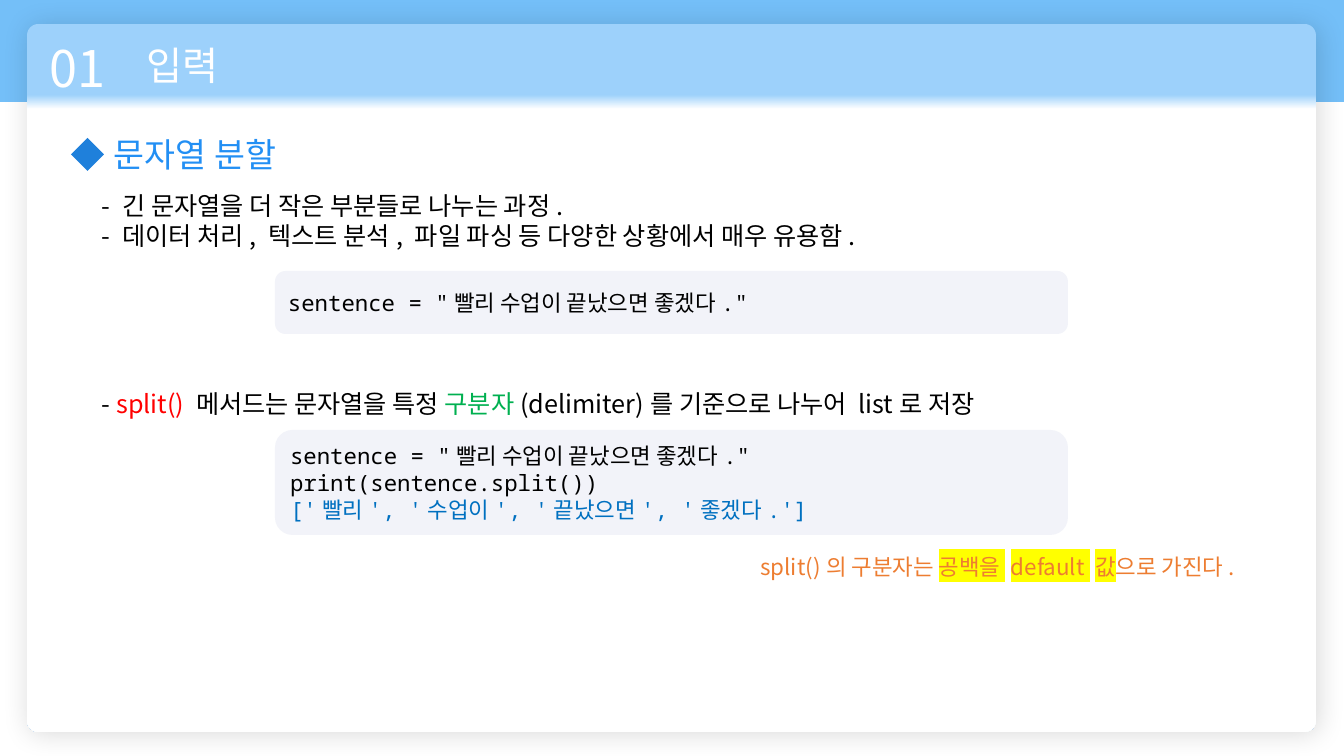
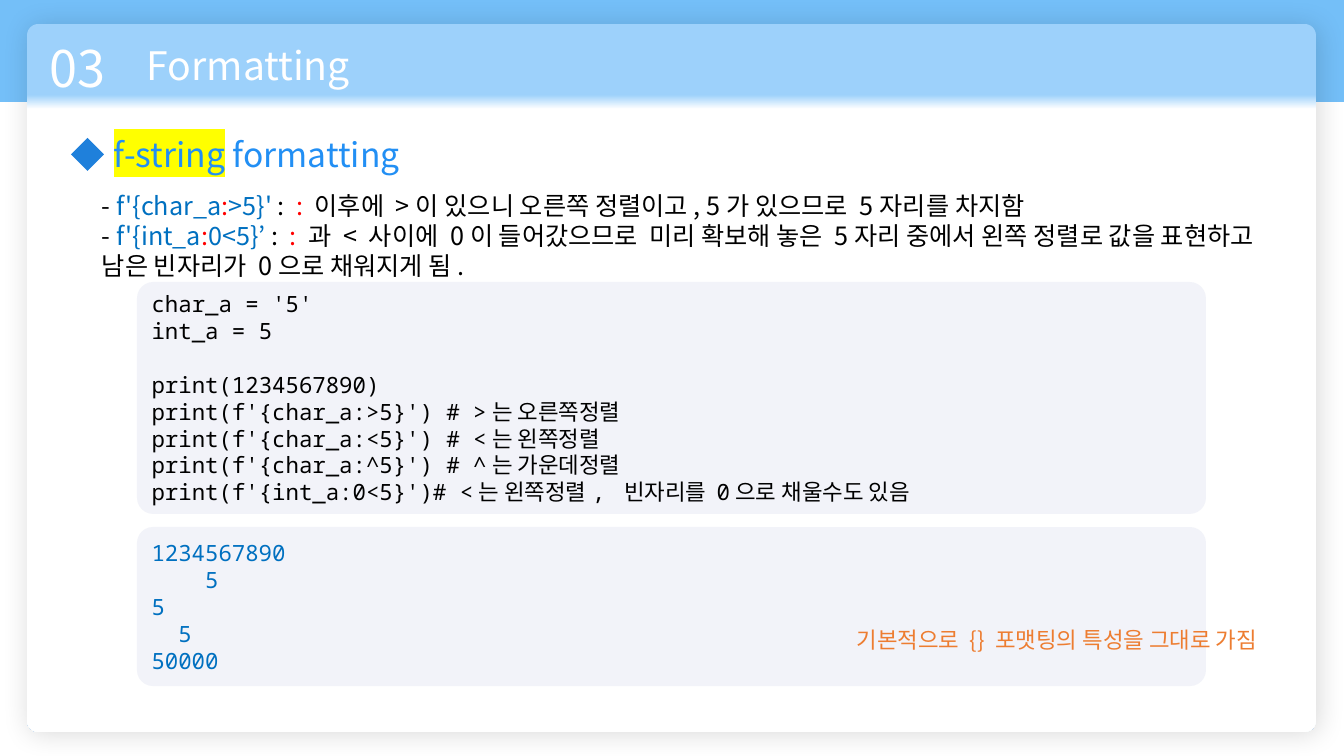
from lxml import etree
from pptx import Presentation
from pptx.dml.color import RGBColor
from pptx.enum.shapes import MSO_SHAPE
from pptx.enum.text import MSO_ANCHOR, MSO_AUTO_SIZE, PP_ALIGN
from pptx.oxml import parse_xml
from pptx.oxml.ns import nsdecls, qn
from pptx.util import Emu, Pt

PX = 914400 / 100.8
SANS, MONO = "Noto Sans CJK KR", "Noto Sans Mono"
WHITE, BLACK, BAND, CARD_TOP, CODE_FILL = "FFFFFF", "000000", "74BFF8", "9DD1FB", "F2F3F9"
HEADING, DIAMOND, NOTE = "228FF4", "1F80DB", "ED7D31"
RED, GREEN, BLUE, YELLOW = "FF0000", "00B050", "0070C0", "FFFF00"
CODE_GAP = 19  # height of an empty code line, in points

rgb = RGBColor.from_string


def add(s, at, lines=(), kind=None, fill=None, adj=None, font=SANS, size=18,
        color=BLACK, align=PP_ALIGN.LEFT, gap_before=None):
    """Add a shape of the given kind, or a text box if there is none.

    A line is a string or a list of runs; a run is a string or a tuple of
    text, colour and optional highlight. gap_before is the index of a line
    that follows an empty code line.
    """
    box = [Emu(round(v * PX)) for v in at]
    if kind is None:
        sp = s.shapes.add_textbox(*box)
        sp.text_frame.auto_size = MSO_AUTO_SIZE.SHAPE_TO_FIT_TEXT
    else:
        sp = s.shapes.add_shape(kind, *box)
        sp.shadow.inherit = False
        sp.line.fill.background()
        sp.text_frame.vertical_anchor = MSO_ANCHOR.MIDDLE
        if fill:
            sp.fill.solid()
            sp.fill.fore_color.rgb = rgb(fill)
        if adj is not None:
            sp.adjustments[0] = adj
    tf = sp.text_frame
    tf.word_wrap = True
    for i, line in enumerate(lines):
        p = tf.paragraphs[0] if i == 0 else tf.add_paragraph()
        p.alignment = align
        if i == gap_before:
            p.space_before = Pt(CODE_GAP)
        for run in [line] if isinstance(line, str) else line:
            text, run_color, mark = ((run,) if isinstance(run, str) else run) + (color, None)[
                0 if isinstance(run, str) else len(run) - 1:] if not (
                isinstance(run, tuple) and len(run) == 3) else run
            r = p.add_run()
            r.text = text
            r.font.size = Pt(size)
            r.font.name = font
            r.font.color.rgb = rgb(run_color)
            rPr = r.font._element
            latin = rPr.find(qn("a:latin"))
            ea = etree.Element(qn("a:ea"), typeface=SANS)
            latin.addnext(ea)
            if mark:
                latin.addprevious(parse_xml(
                    f'<a:highlight {nsdecls("a")}><a:srgbClr val="{mark}"/></a:highlight>'))
    return sp


slides = [
    dict(
        number="01", title="입력", heading="문자열 분할",
        texts=[
            ((92, 185, 1055, 72), [
                "- 긴 문자열을 더 작은 부분들로 나누는 과정.",
                "- 데이터 처리, 텍스트 분석, 파일 파싱 등 다양한 상황에서 매우 유용함."]),
            ((92, 383, 1055, 40), [
                ["- ", ("split() ", RED), "메서드는 문자열을 특정 ", ("구분자", GREEN),
                 "(delimiter)를 기준으로 나누어 list로 저장"]]),
        ],
        codes=[
            ((275, 271, 793, 63), 0.167, None, ['sentence = "빨리 수업이 끝났으면 좋겠다."']),
            ((275, 430, 793, 105), 0.167, None, [
                'sentence = "빨리 수업이 끝났으면 좋겠다."',
                "print(sentence.split())",
                [("['빨리', '수업이', '끝났으면', '좋겠다.']", BLUE)]]),
        ],
        note_at=(95, 548, 1155, 37),
        note=["split()의 구분자는 ", ("공백을 default 값", NOTE, YELLOW), "으로 가진다. "],
    ),
    dict(
        number="03", title="Formatting",
        heading=[("f-string", HEADING, YELLOW), " formatting"],
        texts=[
            ((92, 185, 1179, 102), [
                ["- ", ("f'{char_a", BLUE), (":", RED), (">5}' ", BLUE), ":  ", (": ", RED),
                 "이후에 >이 있으니 오른쪽 정렬이고, 5가 있으므로 5자리를 차지함"],
                ["- ", ("f'{int_a", BLUE), (":", RED), ("0<5}’", BLUE), " :  ", (": ", RED),
                 "과 < 사이에 0이 들어갔으므로  미리 확보해 놓은 5자리 중에서 왼쪽 정렬로 값을 "
                 "표현하고 남은 빈자리가 0으로 채워지게 됨."]]),
        ],
        codes=[
            ((137, 282, 1069, 232), 0.07, 2, [
                "char_a = '5'",
                "int_a = 5",
                "print(1234567890)",
                "print(f'{char_a:>5}') # >는 오른쪽정렬",
                "print(f'{char_a:<5}') # <는 왼쪽정렬",
                "print(f'{char_a:^5}') # ^는 가운데정렬",
                "print(f'{int_a:0<5}')# <는 왼쪽정렬, 빈자리를 0으로 채울수도 있음"]),
            ((137, 527, 1069, 159), 0.1, None, [
                [(line, BLUE)] for line in ("1234567890", "    5", "5", "  5", "50000")]),
        ],
        note_at=(112, 621, 1155, 37),
        note="기본적으로 {} 포맷팅의 특성을 그대로 가짐",
    ),
]

prs = Presentation()
prs.slide_width, prs.slide_height = Emu(round(1344 * PX)), Emu(round(756 * PX))

for content in slides:
    s = prs.slides.add_slide(prs.slide_layouts[6])
    add(s, (0, 0, 1344, 102), kind=MSO_SHAPE.RECTANGLE, fill=BAND)

    card = add(s, (27, 24, 1289, 708), kind=MSO_SHAPE.ROUNDED_RECTANGLE, adj=0.016)
    card.fill.gradient()
    card.fill.gradient_angle = 270
    for stop, position, color in zip(card.fill.gradient_stops, (0.1, 0.12), (CARD_TOP, WHITE)):
        stop.position = position
        stop.color.rgb = rgb(color)
    card._element.spPr.find(qn("a:effectLst")).append(parse_xml(
        f'<a:outerShdw {nsdecls("a")} blurRad="{Pt(20)}" dist="{Pt(3)}" dir="2700000" '
        f'algn="tl" rotWithShape="0"><a:srgbClr val="{BLACK}"><a:alpha val="14000"/>'
        '</a:srgbClr></a:outerShdw>'))

    add(s, (40, 32, 103, 72), [content["number"]], size=36, color=WHITE)
    add(s, (137, 36, 494, 57), [content["title"]], size=28, color=WHITE)
    add(s, (104, 129, 1055, 50), [content["heading"]], size=24, color=HEADING)
    add(s, (71, 138, 33, 33), kind=MSO_SHAPE.DIAMOND, fill=DIAMOND)

    for at, lines in content["texts"]:
        add(s, at, lines)
    for at, adj, gap_before, lines in content["codes"]:
        add(s, at, lines, kind=MSO_SHAPE.ROUNDED_RECTANGLE, fill=CODE_FILL, adj=adj,
            font=MONO, size=16, gap_before=gap_before)
    add(s, content["note_at"], [content["note"]], size=16, color=NOTE, align=PP_ALIGN.RIGHT)

prs.save("out.pptx")
